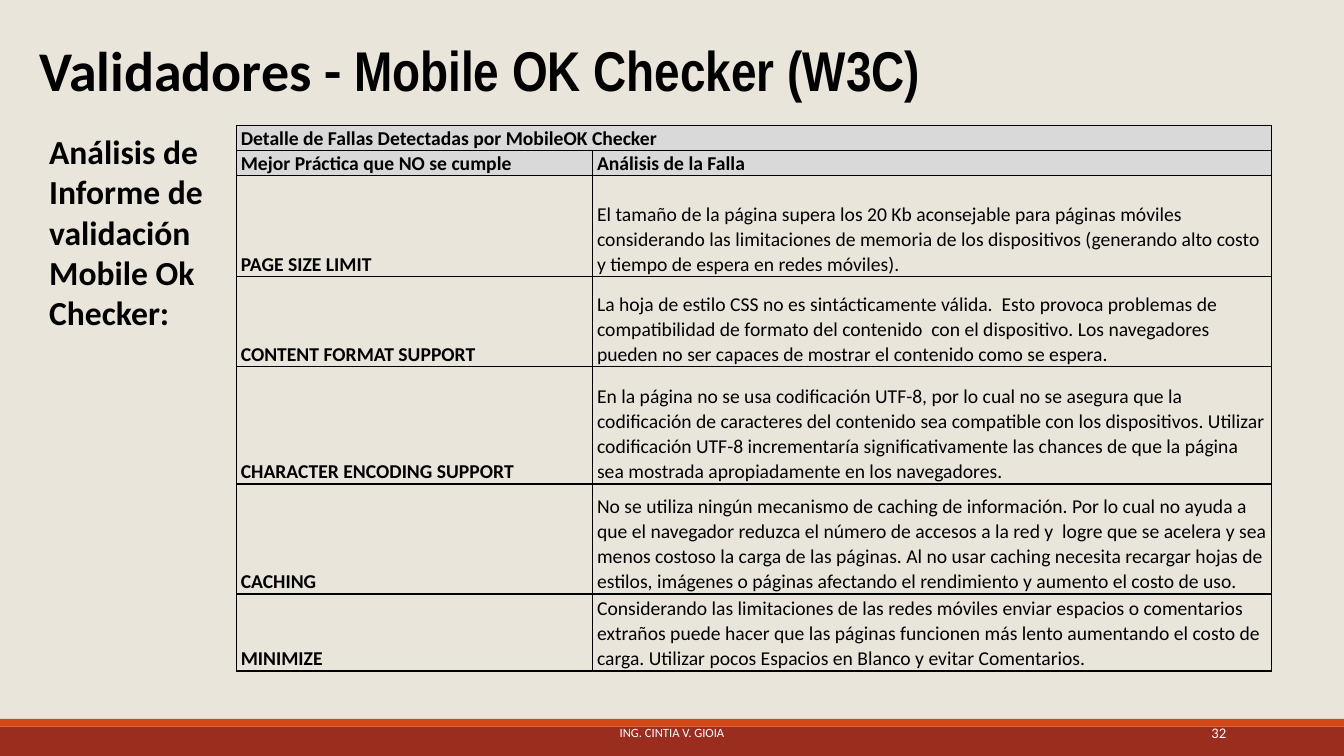
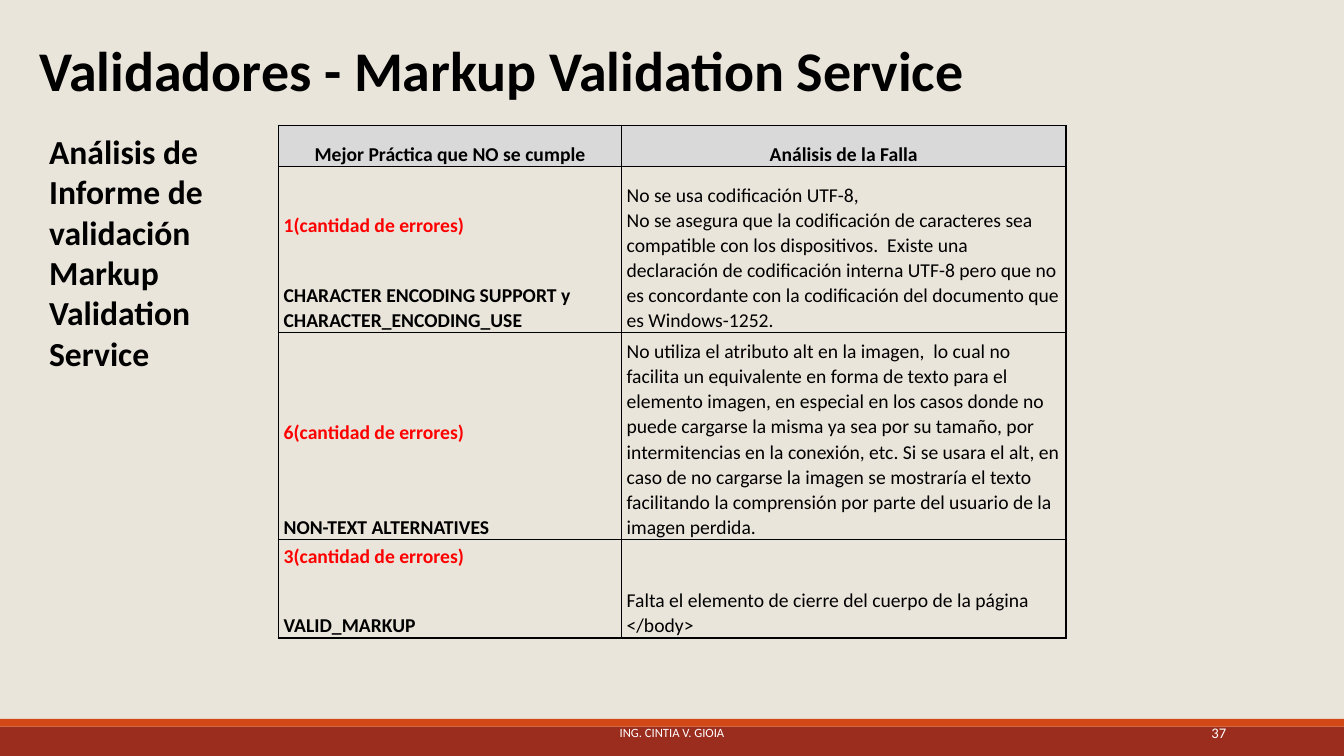
from lxml.etree import SubElement
from pptx import Presentation
from pptx.dml.color import RGBColor
from pptx.enum.shapes import MSO_SHAPE
from pptx.enum.text import MSO_ANCHOR, PP_ALIGN
from pptx.oxml.ns import qn
from pptx.util import Pt

COLORS = {
    "paper": "EAE5DB",
    "band": "9B2D1F",
    "stripe": "D34817",
    "header": "D9D9D9",
    "text": "000000",
    "error": "FF0000",
    "footer": "FFFFFF",
}
FONT = "Calibri"
WIDTH, HEIGHT = 960, 540
BANDS = [("band", 519, 21), ("stripe", 513.5, 5.5)]
FOOTER = "ING. CINTIA V. GIOIA"
HEADINGS = ("Mejor Práctica que NO se cumple", "Análisis de la Falla")

# A practice is its name, or (error count, gap below the count, name).
# An analysis is one string per paragraph.
SLIDES = [
    {
        "number": "32",
        "title": [("Validadores - ", FONT), ("Mobile OK Checker (W3C)", "Arial Narrow")],
        "subtitle": "Análisis de Informe de validación Mobile Ok Checker:",
        "table": {
            "left": 169,
            "columns": (254.5, 485),
            "inset": 3,
            "caption": "Detalle de Fallas Detectadas por MobileOK Checker",
            "heading_align": PP_ALIGN.LEFT,
            "heading_height": 18,
            "heights": (72, 64.3, 84, 78.5, 55),
            "rows": [
                ("PAGE SIZE LIMIT", [
                    "El tamaño de la página supera los 20 Kb aconsejable para páginas móviles "
                    "considerando las limitaciones de memoria de los dispositivos (generando "
                    "alto costo y tiempo de espera en redes móviles)."]),
                ("CONTENT FORMAT SUPPORT", [
                    "La hoja de estilo CSS no es sintácticamente válida.  Esto provoca problemas "
                    "de compatibilidad de formato del contenido  con el dispositivo. Los "
                    "navegadores pueden no ser capaces de mostrar el contenido como se espera."]),
                ("CHARACTER ENCODING SUPPORT", [
                    "En la página no se usa codificación UTF-8, por lo cual no se asegura que la "
                    "codificación de caracteres del contenido sea compatible con los "
                    "dispositivos. Utilizar codificación UTF-8 incrementaría "
                    "significativamente las chances de que la página sea mostrada "
                    "apropiadamente en los navegadores."]),
                ("CACHING", [
                    "No se utiliza ningún mecanismo de caching de información. Por lo cual no "
                    "ayuda a que el navegador reduzca el número de accesos a la red y  logre que "
                    "se acelera y sea menos costoso la carga de las páginas. Al no usar caching "
                    "necesita recargar hojas de estilos, imágenes o páginas afectando el "
                    "rendimiento y aumento el costo de uso."]),
                ("MINIMIZE", [
                    "Considerando las limitaciones de las redes móviles enviar espacios o "
                    "comentarios extraños puede hacer que las páginas funcionen más lento "
                    "aumentando el costo de carga. Utilizar pocos Espacios en Blanco y evitar "
                    "Comentarios."]),
            ],
        },
    },
    {
        "number": "37",
        "title": [("Validadores - Markup Validation Service", FONT)],
        "subtitle": "Análisis de Informe de validación Markup Validation Service",
        "table": {
            "left": 199,
            "columns": (245, 317.5),
            "inset": 3.6,
            "caption": None,
            "heading_align": PP_ALIGN.CENTER,
            "heading_height": 29.7,
            "heights": (118.3, 147.8, 70.5),
            "rows": [
                (("1", 32, "CHARACTER ENCODING SUPPORT y CHARACTER_ENCODING_USE"), [
                    "No se usa codificación UTF-8,",
                    "No se asegura que la codificación de caracteres sea compatible con los "
                    "dispositivos.  Existe una declaración de codificación interna UTF-8 pero "
                    "que no es concordante con la codificación del documento que es "
                    "Windows-1252."]),
                (("6", 50, "NON-TEXT ALTERNATIVES"), [
                    "No utiliza el atributo alt en la imagen,  lo cual no facilita un "
                    "equivalente en forma de texto para el elemento imagen, en especial en los "
                    "casos donde no puede cargarse la misma ya sea por su tamaño, por "
                    "intermitencias en la conexión, etc. Si se usara el alt, en caso de no "
                    "cargarse la imagen se mostraría el texto facilitando la comprensión por "
                    "parte del usuario de la imagen perdida."]),
                (("3", 32, "VALID_MARKUP"), [
                    "Falta el elemento de cierre del cuerpo de la página </body>"]),
            ],
        },
    },
]


def rgb(name):
    return RGBColor.from_string(COLORS[name])


def add_run(p, text, size, color="text", bold=False, font=FONT):
    r = p.add_run()
    r.text = text
    r.font.name = font
    r.font.size = Pt(size)
    r.font.bold = bold
    r.font.color.rgb = rgb(color)


def add_text(s, box, runs, size, color="text", bold=False,
             align=PP_ALIGN.LEFT, anchor=MSO_ANCHOR.TOP):
    tf = s.shapes.add_textbox(*map(Pt, box)).text_frame
    tf.word_wrap = True
    tf.vertical_anchor = anchor
    p = tf.paragraphs[0]
    p.alignment = align
    for text, font in runs:
        add_run(p, text, size, color, bold, font)


def add_bands(s):
    for color, top, height in BANDS:
        sp = s.shapes.add_shape(MSO_SHAPE.RECTANGLE, 0, Pt(top), Pt(WIDTH), Pt(height))
        sp.shadow.inherit = False
        sp.fill.solid()
        sp.fill.fore_color.rgb = rgb(color)
        sp.line.fill.background()


def add_borders(cell):
    tc_pr = cell._tc.get_or_add_tcPr()
    for side in ("lnL", "lnR", "lnT", "lnB"):
        line = SubElement(tc_pr, qn(f"a:{side}"), w=str(Pt(1)))
        fill = SubElement(line, qn("a:solidFill"))
        SubElement(fill, qn("a:srgbClr"), val=COLORS["text"])


def fill_cell(cell, paragraphs, inset, align=PP_ALIGN.LEFT, header=False):
    """Write (text, colour, bold, space after) paragraphs into a bordered cell."""
    cell.margin_left = cell.margin_right = Pt(inset)
    cell.margin_top = cell.margin_bottom = 0
    cell.vertical_anchor = MSO_ANCHOR.BOTTOM
    add_borders(cell)
    if header:
        cell.fill.solid()
        cell.fill.fore_color.rgb = rgb("header")
    else:
        cell.fill.background()
    tf = cell.text_frame
    for i, (text, color, bold, gap) in enumerate(paragraphs):
        p = tf.add_paragraph() if i else tf.paragraphs[0]
        p.alignment = align
        p.line_spacing = 1.05
        p.space_after = Pt(gap)
        add_run(p, text, 14, color, bold)


def practice_paragraphs(practice):
    if isinstance(practice, str):
        return [(practice, "text", True, 0)]
    count, gap, name = practice
    return [(f"{count}(cantidad de errores)", "error", True, gap), (name, "text", True, 0)]


def add_failure_table(s, data):
    captions = [(data["caption"], "")] if data["caption"] else []
    headers = captions + [HEADINGS]
    heights = [data["heading_height"]] * len(headers) + list(data["heights"])
    table = s.shapes.add_table(
        len(heights), 2, Pt(data["left"]), Pt(89.5),
        Pt(sum(data["columns"])), Pt(sum(heights))).table
    table.first_row = table.horz_banding = False
    for column, width in zip(table.columns, data["columns"]):
        column.width = Pt(width)
    for row, height in zip(table.rows, heights):
        row.height = Pt(height)

    inset = data["inset"]
    for i, texts in enumerate(headers):
        for j, text in enumerate(texts):
            paragraphs = [(text, "text", True, 0)] if text else []
            fill_cell(table.cell(i, j), paragraphs, inset, data["heading_align"], header=True)
    if captions:
        table.cell(0, 0).merge(table.cell(0, 1))
    for i, (practice, analysis) in enumerate(data["rows"], len(headers)):
        fill_cell(table.cell(i, 0), practice_paragraphs(practice), inset)
        fill_cell(table.cell(i, 1), [(text, "text", False, 0) for text in analysis], inset)


def add_slide(prs, data):
    s = prs.slides.add_slide(prs.slide_layouts[6])
    add_bands(s)
    add_text(s, (21, 21.6, 900, 56), data["title"], 40, bold=True)
    add_text(s, (28, 90, 140, 183), [(data["subtitle"], FONT)], 24, bold=True)
    add_text(s, (290, 508.5, 380, 29), [(FOOTER, FONT)], 9, "footer",
             align=PP_ALIGN.CENTER, anchor=MSO_ANCHOR.MIDDLE)
    add_text(s, (780, 508.5, 103, 29), [(data["number"], FONT)], 10.5, "footer",
             align=PP_ALIGN.RIGHT, anchor=MSO_ANCHOR.MIDDLE)
    add_failure_table(s, data["table"])


def main():
    prs = Presentation()
    prs.slide_width, prs.slide_height = Pt(WIDTH), Pt(HEIGHT)
    background = prs.slide_master.background.fill
    background.solid()
    background.fore_color.rgb = rgb("paper")
    for data in SLIDES:
        add_slide(prs, data)
    prs.save("out.pptx")


if __name__ == "__main__":
    main()
